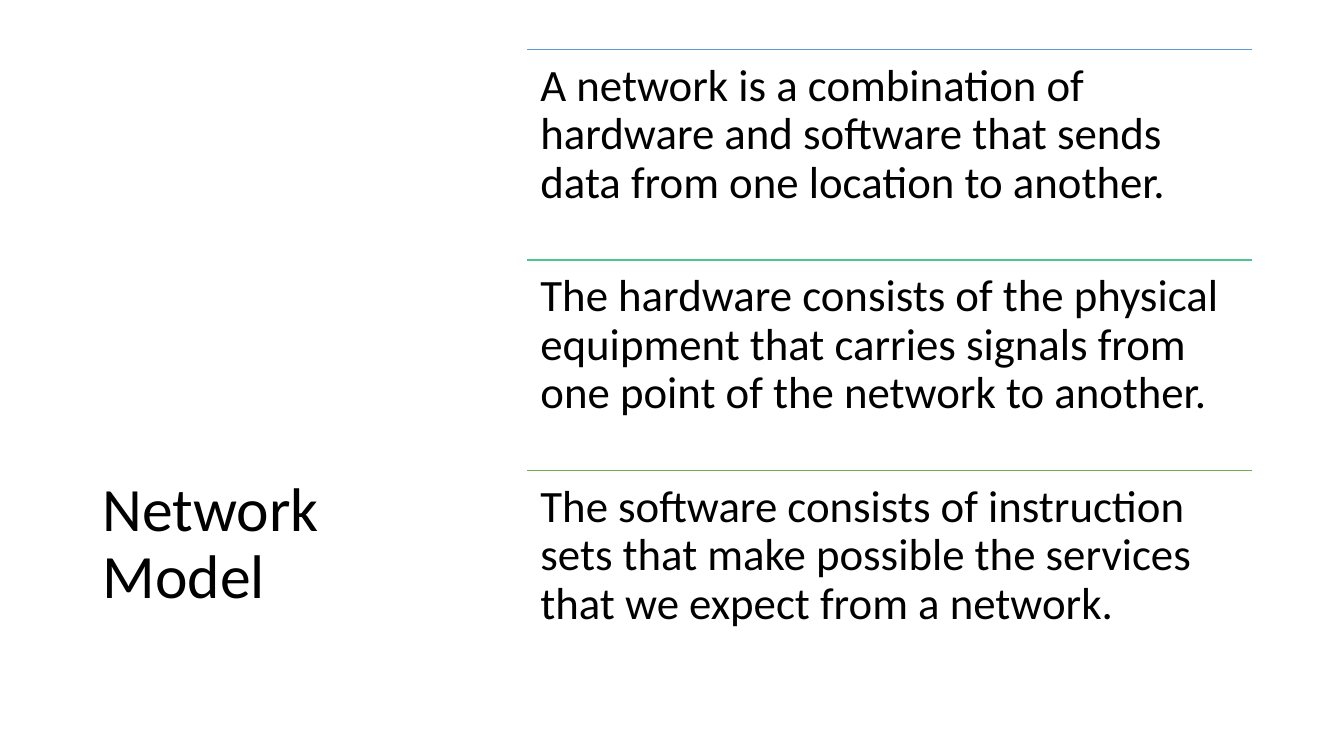
from lxml import etree
from pptx import Presentation
from pptx.dml.color import RGBColor
from pptx.enum.shapes import MSO_CONNECTOR
from pptx.enum.text import MSO_ANCHOR
from pptx.oxml.ns import qn
from pptx.util import Inches, Pt

STRAIGHT = MSO_CONNECTOR.STRAIGHT
TOP, MIDDLE = MSO_ANCHOR.TOP, MSO_ANCHOR.MIDDLE

BLACK = RGBColor(0x00, 0x00, 0x00)
BLUE = RGBColor(0x5B, 0x9B, 0xD5)
TEAL = RGBColor(0x4D, 0xC5, 0x8D)
GREEN = RGBColor(0x70, 0xAD, 0x47)

# Content
TITLE = "Network Model"
POINTS = [
    (BLUE, "A network is a combination of hardware and software that sends "
           "data from one location to another."),
    (TEAL, "The hardware consists of the physical equipment that carries "
           "signals from one point of the network to another."),
    (GREEN, "The software consists of instruction sets that make possible "
            "the services that we expect from a network."),
]

# Layout in inches
TITLE_BOX = (0.92, 4.05, 3.5, 2.71)
LEFT, START, WIDTH, STEP = 5.23, 0.49, 7.19, 2.09
TITLE_PAD, POINT_PAD = (0.1, 0.05), (0.13, 0.13)


def add_text(slide, box, text, size, pad, anchor):
    frame = slide.shapes.add_textbox(*map(Inches, box)).text_frame
    side, edge = map(Inches, pad)
    form = {
        "word_wrap": True, "vertical_anchor": anchor,
        "margin_left": side, "margin_right": side,
        "margin_top": edge, "margin_bottom": edge,
    }
    for name, value in form.items():
        setattr(frame, name, value)
    para = frame.paragraphs[0]
    para.line_spacing = 0.9
    run = para.add_run()
    run.text = text
    for name, value in {"name": "Calibri", "size": Pt(size)}.items():
        setattr(run.font, name, value)
    run.font.color.rgb = BLACK


def add_rule(slide, top, color):
    rule = slide.shapes.add_connector(
        STRAIGHT, *map(Inches, (LEFT, top, LEFT + WIDTH, top)))
    rule.line.color.rgb = color
    rule.line.width = Pt(1)
    etree.SubElement(rule._element.spPr, qn("a:effectLst"))


def main():
    deck = Presentation()
    deck.slide_width, deck.slide_height = Inches(13.33), Inches(7.5)
    slide = deck.slides.add_slide(deck.slide_layouts[6])

    # Title at lower left
    add_text(slide, TITLE_BOX, TITLE, 44, TITLE_PAD, MIDDLE)

    # Ruled points at right
    for row, (color, text) in enumerate(POINTS):
        top = START + row * STEP
        add_rule(slide, top, color)
        add_text(slide, (LEFT, top, WIDTH, STEP), text, 32, POINT_PAD, TOP)

    deck.save("out.pptx")


if __name__ == "__main__":
    main()
